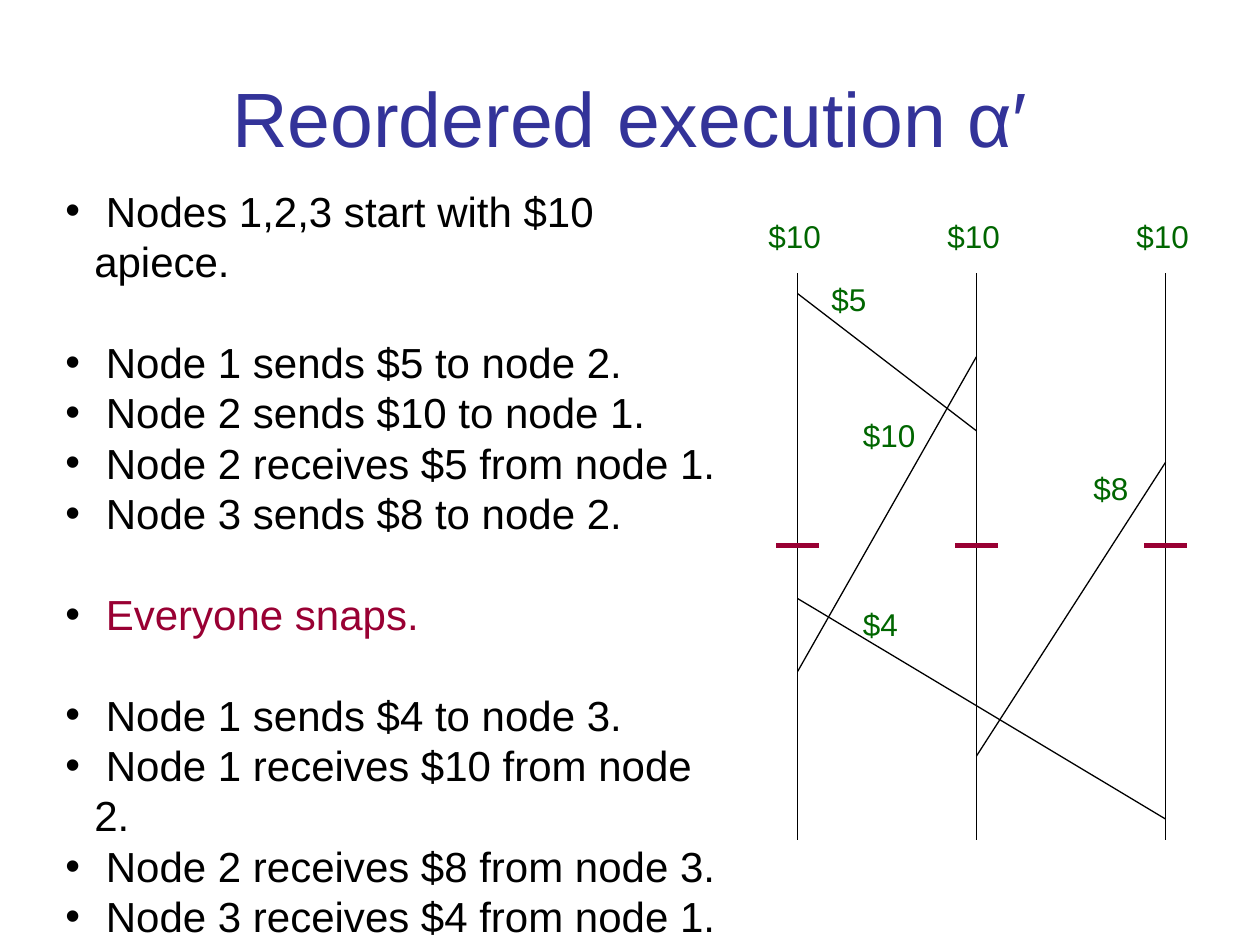
"""Build the slide on the reordered execution with its message diagram."""
import pptx
import pptx.dml.color
import pptx.enum.shapes
import pptx.enum.text
import pptx.oxml
import pptx.oxml.ns
import pptx.util

Inches = pptx.util.Inches
Pt = pptx.util.Pt

THEME = {
    "font": "Arial",
    "title": "333399", "body": "000000", "money": "006600", "snap": "990033",
    "title_size": 44, "body_size": 24, "money_size": 18, "body_pitch": 28.8,
    "thin": 0.75, "thick": 3,
}


def add_span(para, text, color, size):
    span = para.add_run()
    span.text = text
    span.font.name = THEME["font"]
    span.font.size = Pt(THEME[size])
    span.font.color.rgb = pptx.dml.color.RGBColor.from_string(THEME[color])


def add_line(shapes, start, end, color="body", weight="thin"):
    line = shapes.add_connector(
        pptx.enum.shapes.MSO_CONNECTOR.STRAIGHT,
        Inches(start[0]), Inches(start[1]), Inches(end[0]), Inches(end[1]))
    line.line.color.rgb = pptx.dml.color.RGBColor.from_string(THEME[color])
    line.line.width = Pt(THEME[weight])
    properties = line._element.spPr
    properties.append(pptx.oxml.parse_xml(
        f'<a:effectLst {pptx.oxml.ns.nsdecls("a")}/>'))


deck = pptx.Presentation()
deck.slide_width, deck.slide_height = Inches(10), Inches(7.5)
page = deck.slides.add_slide(deck.slide_layouts[6])

title = page.shapes.add_textbox(Inches(0.5), Inches(0.3), Inches(9), Inches(1.25))
title.text_frame.word_wrap = True
title.text_frame.vertical_anchor = pptx.enum.text.MSO_ANCHOR.MIDDLE
para = title.text_frame.paragraphs[0]
para.alignment = pptx.enum.text.PP_ALIGN.CENTER
add_span(para, "Reordered execution α′", "title", "title_size")

step_groups = [
    ("body", ["Nodes 1,2,3 start with $10 apiece."]),
    ("body", ["Node 1 sends $5 to node 2.",
              "Node 2 sends $10 to node 1.",
              "Node 2 receives $5 from node 1.",
              "Node 3 sends $8 to node 2."]),
    ("snap", ["Everyone snaps."]),
    ("body", ["Node 1 sends $4 to node 3.",
              "Node 1 receives $10 from node 2.",
              "Node 2 receives $8 from node 3.",
              "Node 3 receives $4 from node 1."]),
]
steps = page.shapes.add_textbox(Inches(0.42), Inches(1.42), Inches(5.5), Inches(5.88))
steps.text_frame.word_wrap = True
para = steps.text_frame.paragraphs[0]
for group_index, (color, sentences) in enumerate(step_groups):
    for index, sentence in enumerate(sentences):
        if group_index or index:
            para = steps.text_frame.add_paragraph()
        opens_group = group_index > 0 and index == 0
        para.line_spacing = Pt(THEME["body_pitch"])
        para.space_before = Pt(THEME["body_pitch"] if opens_group else 0)
        properties = para._p.get_or_add_pPr()
        properties.set("marL", str(Inches(0.23)))
        properties.set("indent", str(-Inches(0.23)))
        for bullet in (
                f'<a:buClr {{}}><a:srgbClr val="{THEME["body"]}"/></a:buClr>',
                f'<a:buFont {{}} typeface="{THEME["font"]}"/>',
                '<a:buChar {} char="•"/>'):
            properties.append(pptx.oxml.parse_xml(
                bullet.format(pptx.oxml.ns.nsdecls("a"))))
        add_span(para, " " + sentence, color, "body_size")

node_x = {1: 6.33, 2: 7.75, 3: 9.25}
snap_y = 4.33
messages = [(1, 2.33, 2, 3.42), (2, 2.83, 1, 5.33), (1, 4.75, 3, 6.5), (3, 3.67, 2, 6)]
amounts = [("$5", 6.5, 2.17), ("$4", 6.75, 4.75), ("$8", 8.58, 3.67), ("$10", 6.75, 3.25)]
amounts += [("$10", x - 0.33, 1.67) for x in node_x.values()]

for x in node_x.values():
    add_line(page.shapes, (x, 2.17), (x, 6.67))
for sender, sent_y, receiver, received_y in messages:
    add_line(page.shapes, (node_x[sender], sent_y), (node_x[receiver], received_y))
for amount, left, top in amounts:
    width = 0.62 if len(amount) == 3 else 0.48
    box = page.shapes.add_textbox(Inches(left), Inches(top), Inches(width), Inches(0.4))
    box.text_frame.word_wrap = False
    add_span(box.text_frame.paragraphs[0], amount, "money", "money_size")
for x in node_x.values():
    add_line(page.shapes, (x - 0.17, snap_y), (x + 0.17, snap_y), "snap", "thick")

deck.save("out.pptx")
